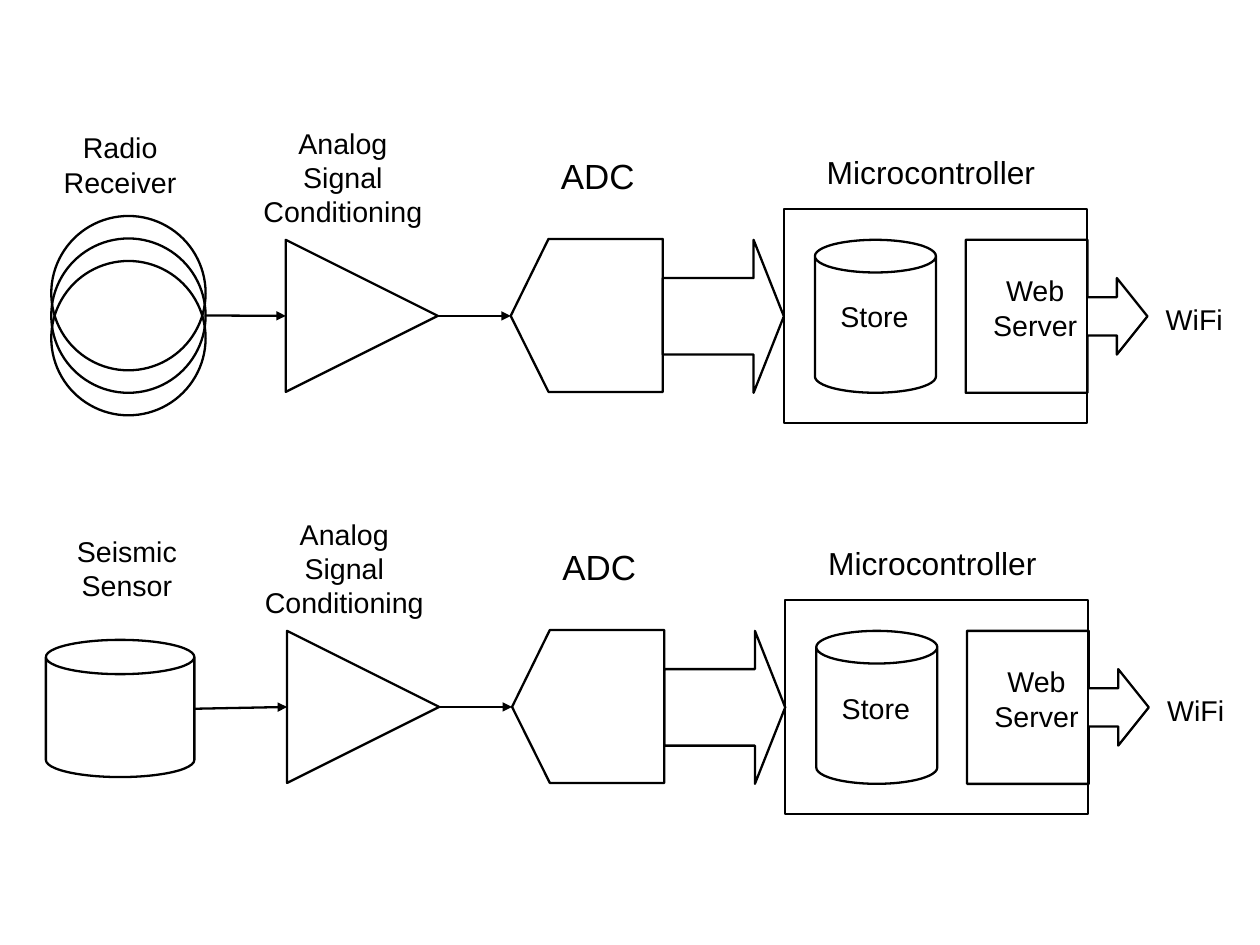
"""Build a slide with two signal chains, from sensor to WiFi."""
from lxml.etree import SubElement
from pptx import Presentation
from pptx.dml.color import RGBColor
from pptx.enum.shapes import MSO_CONNECTOR as CONNECTOR, MSO_SHAPE as SHAPE
from pptx.enum.text import MSO_ANCHOR as ANCHOR, PP_ALIGN as ALIGN
from pptx.oxml.ns import qn
from pptx.util import Cm, Pt


def outline(shape, color="000000", width=1.45):
    shape.line.color.rgb = RGBColor.from_string(color)
    shape.line.width = Pt(width)
    if hasattr(shape, "fill"):
        shape.fill.background()
        shape.shadow.inherit = False


def add_text(text, left, top, width, height, size=18, font="Arial", color="000000"):
    box = slide.shapes.add_textbox(Cm(left), Cm(top), Cm(width), Cm(height))
    frame = box.text_frame
    frame.word_wrap = False
    frame.vertical_anchor = ANCHOR.MIDDLE
    frame.text = text
    for paragraph in frame.paragraphs:
        paragraph.alignment = ALIGN.CENTER
        paragraph.font.size = Pt(size)
        paragraph.font.name = font
        paragraph.font.color.rgb = RGBColor.from_string(color)


presentation = Presentation()
presentation.slide_width = Cm(28)
presentation.slide_height = Cm(21)
slide = presentation.slides.add_slide(presentation.slide_layouts[6])

chain_offsets = [(0, 0), (0.03, 8.69)]
chain_shapes = [
    (SHAPE.RECTANGLE, 17.42, 4.65, 6.73, 4.75, []),
    (SHAPE.CAN, 18.11, 5.33, 2.69, 3.4, [0.27]),
    (SHAPE.RIGHT_ARROW_CALLOUT, 21.46, 5.33, 4.04, 3.4, [0.25, 0.25, 0.2, 0.67]),
    (SHAPE.RIGHT_ARROW, 14.73, 5.33, 2.69, 3.4, [0.5, 0.25]),
]
amplifier = [(6.35, 5.33), (9.73, 7.02), (6.35, 8.71)]
converter = [(14.73, 5.31), (12.19, 5.31), (11.35, 7.02), (12.19, 8.71), (14.73, 8.71)]
chain_labels = [
    ("Microcontroller", 17.69, 2.54, 6, 2.54, 20),
    ("Store", 18.42, 6.55, 2.03, 0.97, 18),
    ("Web\nServer", 21.72, 5.64, 2.57, 2.39, 18),
    ("ADC", 12.14, 3.35, 2.29, 1.12, 22),
    ("Analog\nSignal\nConditioning", 5.59, 2.74, 4.06, 2.39, 18),
    ("WiFi", 25.65, 6.6, 1.78, 0.97, 18),
]

sensor_shapes = [(SHAPE.OVAL, 1.14, 4.8 + 0.5 * ring, 3.43, 3.43, []) for ring in range(3)]
sensor_shapes.append((SHAPE.CAN, 1.02, 14.22, 3.3, 3.05, [0.25]))
shapes = sensor_shapes + [
    (kind, left + dx, top + dy, width, height, adjustments)
    for dx, dy in chain_offsets
    for kind, left, top, width, height, adjustments in chain_shapes
]
for kind, left, top, width, height, adjustments in shapes:
    shape = slide.shapes.add_shape(kind, Cm(left), Cm(top), Cm(width), Cm(height))
    for index, value in enumerate(adjustments):
        shape.adjustments[index] = value
    outline(shape)

arrows = [(4.55, 7.01, 6.35, 7.02), (4.32, 15.75, 6.38, 15.71)]
for dx, dy in chain_offsets:
    for corners in (amplifier, converter):
        points = [(Cm(x + dx), Cm(y + dy)) for x, y in corners]
        builder = slide.shapes.build_freeform(*points[0])
        builder.add_line_segments(points[1:], close=True)
        outline(builder.convert_to_shape())
    for text, left, top, width, height, size in chain_labels:
        add_text(text, left + dx, top + dy, width, height, size=size)
    arrows.append((9.73 + dx, 7.02 + dy, 11.35 + dx, 7.02 + dy))

for arrow in arrows:
    connector = slide.shapes.add_connector(CONNECTOR.STRAIGHT, *[Cm(value) for value in arrow])
    outline(connector)
    properties = connector._element.spPr
    SubElement(properties.find(qn("a:ln")), qn("a:tailEnd"), type="triangle")
    SubElement(properties, qn("a:effectLst"))

add_text("Radio\nReceiver", 1.02, 2.74, 3.3, 1.83)
add_text("Seismic\nSensor", 1.04, 11.79, 3.56, 1.68)

presentation.save("out.pptx")
